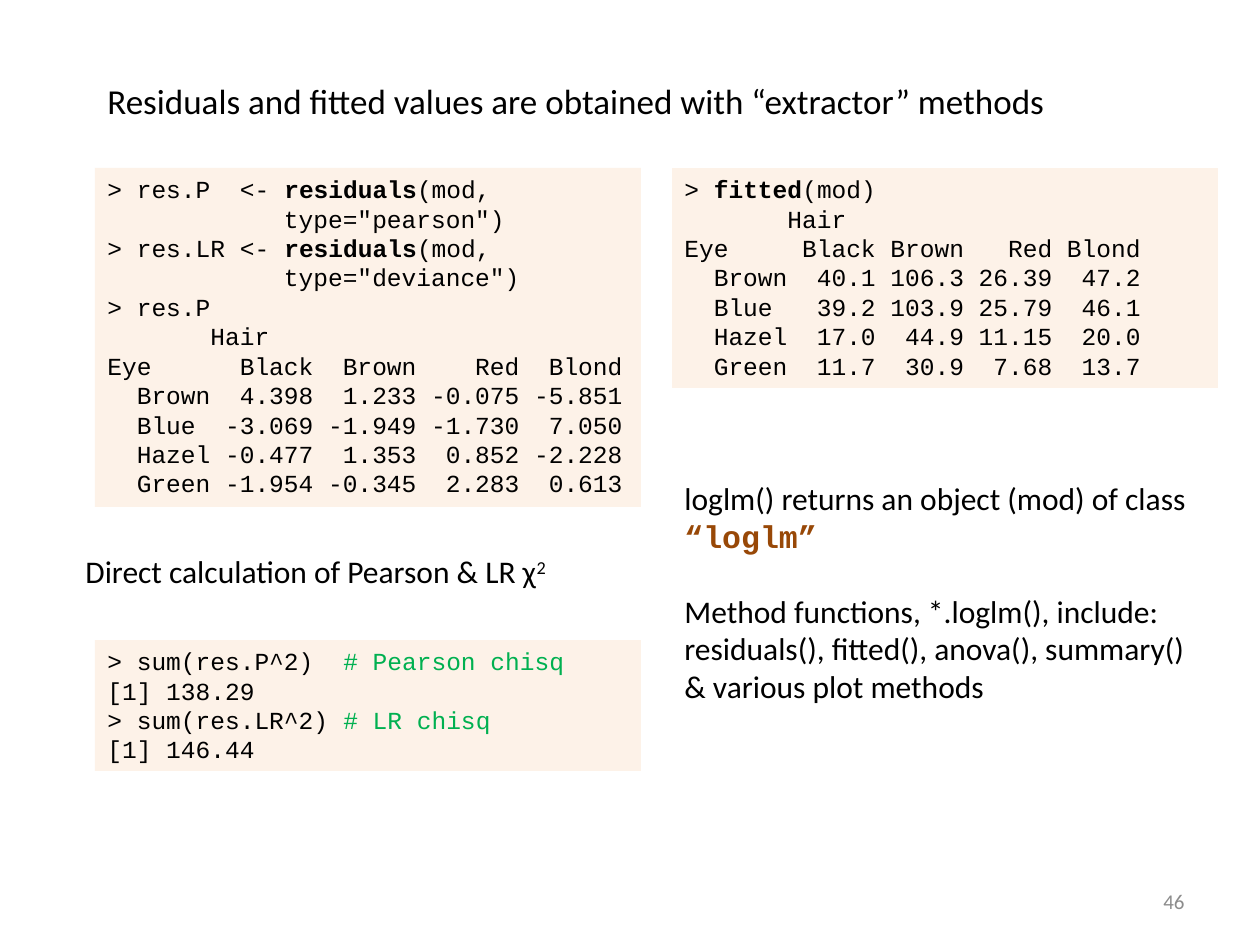
import dataclasses

import lxml.etree
import pptx
import pptx.dml.color
import pptx.enum.shapes
import pptx.enum.text
import pptx.oxml.ns
import pptx.util

EMU_PER_PX = 914400 / 126


@dataclasses.dataclass(frozen=True)
class Theme:
    body_font: str = "Calibri"
    code_font: str = "Courier New"
    ink: str = "000000"
    muted: str = "8C8C8C"
    panel: str = "FDEADA"
    panel_alpha: int = 60
    comment: str = "00B050"
    class_name: str = "984807"
    title_size: int = 20
    body_size: int = 18
    code_size: int = 14
    number_size: int = 12


THEME = Theme()

# Run styles that differ from the plain text around them
BOLD = {"bold": True}
COMMENT = {"color": THEME.comment}
CLASS_NAME = {"bold": True, "color": THEME.class_name, "font": THEME.code_font}
SUPERSCRIPT = {"baseline": 30}

RESIDUALS_CODE = [
    ["> res.P  <- ", ("residuals", BOLD), "(mod,"],
    ['            type="pearson")'],
    ["> res.LR <- ", ("residuals", BOLD), "(mod,"],
    ['            type="deviance")'],
    ["> res.P"],
    ["       Hair"],
    ["Eye      Black  Brown    Red  Blond"],
    ["  Brown  4.398  1.233 -0.075 -5.851"],
    ["  Blue  -3.069 -1.949 -1.730  7.050"],
    ["  Hazel -0.477  1.353  0.852 -2.228"],
    ["  Green -1.954 -0.345  2.283  0.613"],
]
FITTED_CODE = [
    ["> ", ("fitted", BOLD), "(mod)"],
    ["       Hair"],
    ["Eye     Black Brown   Red Blond"],
    ["  Brown  40.1 106.3 26.39  47.2"],
    ["  Blue   39.2 103.9 25.79  46.1"],
    ["  Hazel  17.0  44.9 11.15  20.0"],
    ["  Green  11.7  30.9  7.68  13.7"],
]
CHISQ_CODE = [
    ["> sum(res.P^2)  ", ("# Pearson chisq", COMMENT)],
    ["[1] 138.29"],
    ["> sum(res.LR^2) ", ("# LR chisq", COMMENT)],
    ["[1] 146.44"],
]
CLASS_NOTE = [
    ["loglm() returns an object (mod) of class ", ("“loglm”", CLASS_NAME)],
    ["Method functions, *.loglm(), include: residuals(), fitted(), "
     "anova(), summary() & various plot methods"],
]


def px(*lengths):
    return [pptx.util.Emu(round(length * EMU_PER_PX)) for length in lengths]


def rgb(color):
    return pptx.dml.color.RGBColor.from_string(color)


def add_run(paragraph, text, size, font, color=THEME.ink, bold=False, baseline=None):
    run = paragraph.add_run()
    run.text = text
    run.font.size = pptx.util.Pt(size)
    run.font.name = font
    run.font.bold = bold
    run.font.color.rgb = rgb(color)
    if baseline:
        run._r.get_or_add_rPr().set("baseline", str(baseline * 1000))


def write_lines(shape, lines, size, font, color=THEME.ink, gap=0,
                align=pptx.enum.text.PP_ALIGN.LEFT,
                anchor=pptx.enum.text.MSO_ANCHOR.TOP):
    """Write one paragraph per line; a run is a string or a (text, style) pair."""
    frame = shape.text_frame
    frame.word_wrap = True
    frame.vertical_anchor = anchor
    for index, line in enumerate(lines):
        paragraph = frame.add_paragraph() if index else frame.paragraphs[0]
        paragraph.alignment = align
        if index and gap:
            paragraph.space_before = pptx.util.Pt(gap)
        for part in line:
            text, style = (part, {}) if isinstance(part, str) else part
            add_run(paragraph, text, **{"size": size, "font": font, "color": color, **style})


def add_text(slide, box, lines, size, **options):
    shape = slide.shapes.add_textbox(*px(*box))
    write_lines(shape, lines, size, THEME.body_font, **options)


def add_code_panel(slide, box, lines):
    shape = slide.shapes.add_shape(pptx.enum.shapes.MSO_SHAPE.RECTANGLE, *px(*box))
    shape.shadow.inherit = False
    shape.line.fill.background()
    shape.fill.solid()
    shape.fill.fore_color.rgb = rgb(THEME.panel)
    color = shape._element.spPr.find(".//" + pptx.oxml.ns.qn("a:srgbClr"))
    lxml.etree.SubElement(color, pptx.oxml.ns.qn("a:alpha"),
                          val=str(THEME.panel_alpha * 1000))
    write_lines(shape, lines, THEME.code_size, THEME.code_font)


def main():
    presentation = pptx.Presentation()
    presentation.slide_width, presentation.slide_height = px(1260, 945)
    slide = presentation.slides.add_slide(presentation.slide_layouts[6])

    left, right, top, width = 95, 672, 168, 546

    # Slide number and heading
    add_text(slide, (903, 876, 294, 50), [["46"]], THEME.number_size, color=THEME.muted,
             align=pptx.enum.text.PP_ALIGN.RIGHT, anchor=pptx.enum.text.MSO_ANCHOR.MIDDLE)
    add_text(slide, (left, 73, 998, 55),
             [["Residuals and fitted values are obtained with “extractor” methods"]],
             THEME.title_size)

    # Extractor calls and their output
    add_code_panel(slide, (left, top, width, 339), RESIDUALS_CODE)
    add_code_panel(slide, (right, top, width, 220), FITTED_CODE)

    # Chi-square computed from the residuals
    add_text(slide, (73, 546, 588, 50),
             [["Direct calculation of Pearson & LR χ", ("2", SUPERSCRIPT)]], THEME.body_size)
    add_code_panel(slide, (left, 640, width, 131), CHISQ_CODE)

    # Class of the fitted object and its methods
    add_text(slide, (right, 473, width, 242), CLASS_NOTE, THEME.body_size, gap=21)

    presentation.save("out.pptx")


if __name__ == "__main__":
    main()
